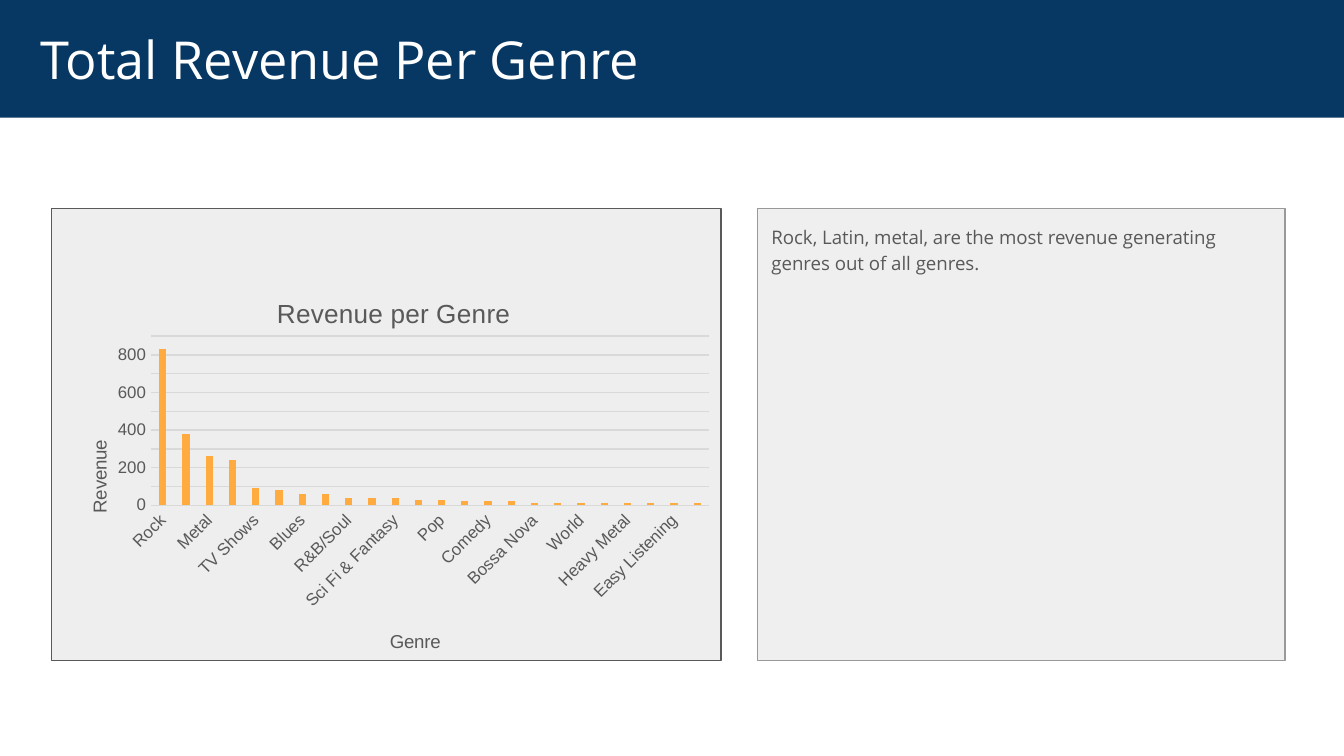
from dataclasses import dataclass

from lxml import etree
from pptx import Presentation
from pptx.chart.data import CategoryChartData
from pptx.dml.color import RGBColor
from pptx.enum.chart import XL_CHART_TYPE, XL_TICK_MARK
from pptx.enum.shapes import MSO_SHAPE
from pptx.enum.text import MSO_ANCHOR, MSO_AUTO_SIZE, PP_ALIGN
from pptx.oxml.ns import qn
from pptx.util import Pt

COLUMNS = XL_CHART_TYPE.COLUMN_CLUSTERED
NO_TICK = XL_TICK_MARK.NONE
RECT = MSO_SHAPE.RECTANGLE
EMU_PER_PX = 9525
UNITS_PER_DEGREE = 60000


@dataclass(frozen=True)
class Theme:
    navy: str = "073763"
    white: str = "FFFFFF"
    gray: str = "595959"
    grid: str = "D9D9D9"
    edge: str = "999999"
    text_panel: str = "EFEFEF"
    chart_panel: str = "EEEEEE"
    bar: str = "FFAB40"
    font: str = "Open Sans"
    chart_font: str = "Arial"
    title: int = 28
    chart_title: int = 14
    body: int = 10
    label: int = 9


@dataclass(frozen=True)
class Box:
    x: int
    y: int
    w: int
    h: int

    def emu(self) -> tuple[int, ...]:
        return tuple(v * EMU_PER_PX for v in (self.x, self.y, self.w, self.h))


THEME = Theme()
SLIDE = Box(0, 0, 960, 540)
BAND = Box(0, 0, 960, 84)
CHART_PANEL = Box(37, 149, 478, 323)
TEXT_PANEL = Box(541, 149, 377, 323)
CHART = Box(36, 194, 480, 288)
INSET = 10
TITLE_INSET = 29

REVENUE = {
    "Rock": 830, "Latin": 380, "Metal": 260, "Alternative & Punk": 240,
    "TV Shows": 90, "Jazz": 80, "Blues": 60, "Drama": 60,
    "R&B/Soul": 40, "Classical": 40, "Sci Fi & Fantasy": 40, "Reggae": 30,
    "Pop": 30, "Soundtrack": 20, "Comedy": 20, "Hip Hop/Rap": 20,
    "Bossa Nova": 10, "Alternative": 10, "World": 10, "Science Fiction": 10,
    "Heavy Metal": 10, "Electronica/Dance": 10, "Easy Listening": 10,
    "Rock And Roll": 10,
}


def rgb(color: str) -> RGBColor:
    return RGBColor.from_string(color)


def style_font(font, name: str, size: int, color: str) -> None:
    font.name, font.size, font.bold = name, Pt(size), False
    font.color.rgb = rgb(color)


def style_box(sp, box: Box, fill: str, line: str | None = None) -> None:
    sp.left, sp.top, sp.width, sp.height = box.emu()
    sp.fill.solid()
    sp.fill.fore_color.rgb = rgb(fill)
    if line:
        sp.line.color.rgb = rgb(line)
        sp.line.width = Pt(0.75)
    else:
        sp.line.fill.background()


def write(sp, text: str, size: int, color: str, anchor, left: int = INSET):
    tf = sp.text_frame
    tf.word_wrap = True
    tf.auto_size = MSO_AUTO_SIZE.NONE
    tf.vertical_anchor = anchor
    tf.margin_left = left * EMU_PER_PX
    tf.margin_top = tf.margin_right = tf.margin_bottom = INSET * EMU_PER_PX
    tf.text = text
    p = tf.paragraphs[0]
    p.alignment = PP_ALIGN.LEFT
    style_font(p.font, THEME.font, size, color)
    return p


def remove_bullet(p) -> None:
    pPr = p.font._element.getparent()
    pPr.set("marL", "0")
    pPr.set("indent", "0")
    pPr.find(qn("a:defRPr")).addprevious(etree.Element(qn("a:buNone")))


def place(element, **fractions: float) -> None:
    """Give a chart title or plot area a manual layout, in parts of the chart."""
    for old in element.findall(qn("c:layout")):
        element.remove(old)
    layout = etree.Element(qn("c:layout"))
    manual = etree.SubElement(layout, qn("c:manualLayout"))
    if "w" in fractions:
        etree.SubElement(manual, qn("c:layoutTarget")).set("val", "inner")
    for key in "xy":
        etree.SubElement(manual, qn(f"c:{key}Mode")).set("val", "edge")
    for key, value in fractions.items():
        etree.SubElement(manual, qn(f"c:{key}")).set("val", str(value))
    tx = element.find(qn("c:tx"))
    element.insert(0 if tx is None else 1, layout)


def rotate(body, degrees: int) -> None:
    body.find(qn("a:bodyPr")).set("rot", str(degrees * UNITS_PER_DEGREE))


def add_title(title, text: str, size: int, x: float, y: float) -> None:
    title.text_frame.text = text
    p = title.text_frame.paragraphs[0]
    style_font(p.font, THEME.chart_font, size, THEME.gray)
    place(title.element, x=x, y=y)


def style_axis(axis, title: str, x: float, y: float) -> None:
    axis.major_tick_mark = axis.minor_tick_mark = NO_TICK
    style_font(axis.tick_labels.font, THEME.chart_font, THEME.label, THEME.gray)
    add_title(axis.axis_title, title, THEME.body, x, y)


def style_line(line) -> None:
    line.color.rgb = rgb(THEME.grid)
    line.width = Pt(0.75)


def add_revenue_chart(slide) -> None:
    data = CategoryChartData()
    data.categories = list(REVENUE)
    data.add_series("Series 1", list(REVENUE.values()))
    chart = slide.shapes.add_chart(COLUMNS, *CHART.emu(), data).chart
    chart.has_legend = False
    chart.font.name, chart.font.size = THEME.chart_font, Pt(THEME.body)
    add_title(chart.chart_title, "Revenue per Genre", THEME.chart_title, 0.33, 0.05)

    genres, revenue = chart.category_axis, chart.value_axis
    style_axis(genres, "Genre", 0.5, 0.88)
    style_line(genres.format.line)
    rotate(genres.tick_labels.font._element.getparent().getparent().getparent(), -45)

    style_axis(revenue, "Revenue", 0.05, 0.41)
    rotate(revenue.axis_title.element.find(".//" + qn("c:rich")), -90)
    revenue.format.line.fill.background()
    revenue.minimum_scale, revenue.maximum_scale = 0, 900
    revenue.major_unit = 100
    style_line(revenue.major_gridlines.format.line)

    plot = chart.plots[0]
    plot.gap_width, plot.overlap = 219, -27
    plot.vary_by_categories = False
    fill = plot.series[0].format.fill
    fill.solid()
    fill.fore_color.rgb = rgb(THEME.bar)
    place(chart.element.find(".//" + qn("c:plotArea")), x=0.15, y=0.16, w=0.83, h=0.42)


def main() -> None:
    prs = Presentation()
    prs.slide_width, prs.slide_height = SLIDE.emu()[2:]
    slide = prs.slides.add_slide(prs.slide_layouts[1])

    body = slide.placeholders[1]
    style_box(body, TEXT_PANEL, THEME.text_panel, THEME.edge)
    p = write(body, "Rock, Latin, metal, are the most revenue generating genres out of all genres.",
              THEME.body, THEME.gray, MSO_ANCHOR.TOP)
    p.line_spacing, p.space_before, p.space_after = 1.15, Pt(0), Pt(16)
    remove_bullet(p)

    panel = slide.shapes.add_shape(RECT, *CHART_PANEL.emu())
    panel.shadow.inherit = False
    style_box(panel, CHART_PANEL, THEME.chart_panel, THEME.gray)

    title = slide.shapes.title
    style_box(title, BAND, THEME.navy)
    write(title, "Total Revenue Per Genre", THEME.title, THEME.white,
          MSO_ANCHOR.MIDDLE, TITLE_INSET)

    add_revenue_chart(slide)
    prs.save("out.pptx")


if __name__ == "__main__":
    main()
